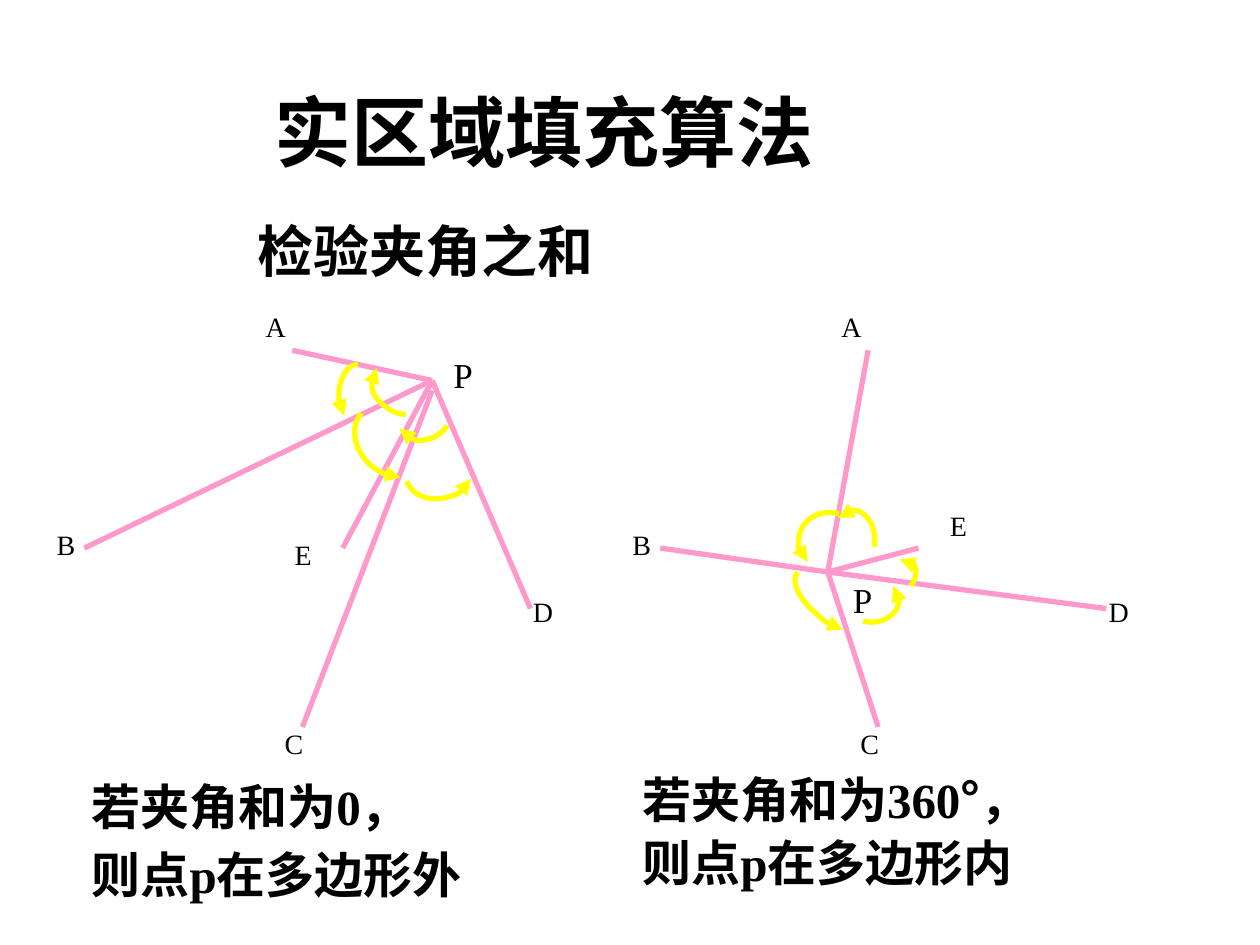
import dataclasses
import typing

import lxml.etree
import pptx
import pptx.dml.color
import pptx.enum.text
import pptx.oxml.ns
import pptx.util

Inches = pptx.util.Inches
Pt = pptx.util.Pt
qn = pptx.oxml.ns.qn
Spot = typing.Tuple[float, float]

INK = {"text": "000000", "ray": "FF99CC", "arc": "FFFF00"}
FACE = "Times New Roman"
SIGN = "Noto Sans CJK SC"
SHIFT = 4.57
ENDS = {"A": (2.32, 2.78), "E": (2.72, 4.35), "D": (4.21, 4.83),
        "B": (0.67, 4.35), "C": (2.4, 5.77)}
TAGS = {"A": (2.01, 2.41), "B": (0.35, 4.14), "C": (2.16, 5.72), "D": (4.13, 4.67)}


@dataclasses.dataclass
class Text:
    lines: typing.List[str]
    left: float
    top: float
    width: float
    height: float
    size: float
    bold: bool = True
    center: bool = False
    middle: bool = False
    hang: float = 0
    before: float = 0
    space: float = 1


@dataclasses.dataclass
class Fan:
    shift: float
    hub: Spot
    drop: float
    hub_tag: Spot
    e_tag: Spot
    arcs: typing.List[typing.List[Spot]]


FANS = [
    Fan(0, (3.43, 3.02), 0.08, (3.5, 2.76), (2.24, 4.22), [
        [(2.84, 2.89), (2.76, 2.89), (2.69, 3), (2.69, 3.13),
         (2.69, 3.19), (2.7, 3.25), (2.73, 3.3)],
        [(2.87, 3.28), (2.77, 3.39), (2.81, 3.58), (2.95, 3.7),
         (3.02, 3.75), (3.1, 3.79), (3.18, 3.79)],
        [(3.23, 3.82), (3.27, 3.94), (3.43, 3.99), (3.57, 3.94),
         (3.65, 3.92), (3.71, 3.86), (3.74, 3.8)],
        [(3.55, 3.38), (3.52, 3.42), (3.48, 3.46), (3.42, 3.48),
         (3.32, 3.51), (3.2, 3.48), (3.17, 3.4)],
        [(3.22, 3.29), (3.16, 3.29), (3.1, 3.26), (3.05, 3.22),
         (2.95, 3.14), (2.92, 3), (2.99, 2.92)],
    ]),
    Fan(SHIFT, (6.57, 4.54), 0, (6.67, 4.54), (7.44, 3.99), [
        [(6.66, 4.08), (6.64, 4.07), (6.62, 4.07), (6.59, 4.07), (6.46, 4.06),
         (6.34, 4.16), (6.34, 4.29), (6.33, 4.35), (6.36, 4.41), (6.41, 4.46)],
        [(6.33, 4.54), (6.27, 4.61), (6.34, 4.76), (6.49, 4.88),
         (6.55, 4.94), (6.63, 4.98), (6.69, 5)],
        [(6.85, 4.93), (6.98, 4.96), (7.1, 4.9), (7.13, 4.8),
         (7.14, 4.75), (7.13, 4.69), (7.09, 4.65)],
        [(7.23, 4.65), (7.27, 4.59), (7.28, 4.53), (7.26, 4.49),
         (7.24, 4.46), (7.2, 4.44), (7.14, 4.44)],
        [(6.94, 4.34), (6.96, 4.19), (6.89, 4.07), (6.79, 4.05),
         (6.74, 4.05), (6.69, 4.07), (6.65, 4.11)],
    ]),
]

TEXTS = [
    Text(["实区域填充算法"], 2.08, 0.25, 7.75, 1.58, 44, middle=True),
    Text(["若夹角和为0，", "则点p在多边形外"], 0.63, 6.11, 4.29, 1.1, 28,
         hang=0.38, before=5.6),
    Text(["若夹角和为360°，", "则点p在多边形内"], 5, 6.11, 4.88, 1.1, 28,
         hang=0.38, before=5.6, space=0.9),
    Text(["检验夹角之和"], 1.05, 1.67, 4.66, 0.63, 32, center=True),
]


def tint(name: str) -> pptx.dml.color.RGBColor:
    """Return a named colour."""
    return pptx.dml.color.RGBColor.from_string(INK[name])


def write(slide, text: Text) -> None:
    """Draw a text box."""
    box = slide.shapes.add_textbox(Inches(text.left), Inches(text.top),
                                   Inches(text.width), Inches(text.height))
    frame = box.text_frame
    frame.word_wrap = True
    if text.middle:
        frame.vertical_anchor = pptx.enum.text.MSO_ANCHOR.MIDDLE
    frame.text = "\n".join(text.lines)
    for para in frame.paragraphs:
        if text.center:
            para.alignment = pptx.enum.text.PP_ALIGN.CENTER
        para.space_before = Pt(text.before)
        para.line_spacing = text.space
        if text.hang:
            props = para._p.get_or_add_pPr()
            props.set("marL", str(Inches(text.hang)))
            props.set("indent", str(-Inches(text.hang)))
        head, mark, rest = para.text.partition("°")
        para.runs[0].text = head
        for part in filter(None, (mark, rest)):
            para.add_run().text = part
        for run in para.runs:
            run.font.name = SIGN if run.text == "°" else FACE
            run.font.size = Pt(text.size)
            run.font.bold = text.bold
            run.font.color.rgb = tint("text")


def draw_ray(slide, start: Spot, end: Spot) -> None:
    """Draw a straight ray."""
    ray = slide.shapes.add_connector(1, *map(Inches, start + end))
    ray.line.color.rgb = tint("ray")
    ray.line.width = Pt(3)
    lxml.etree.SubElement(ray._element.spPr, qn("a:effectLst"))


def draw_arc(slide, spots: typing.List[Spot]) -> None:
    """Draw a cubic curve that ends in an arrowhead."""
    first, *rest = [(Inches(x), Inches(y)) for x, y in spots]
    pen = slide.shapes.build_freeform(*first)
    pen.add_line_segments(rest, close=False)
    arc = pen.convert_to_shape()
    arc.shadow.inherit = False
    arc.fill.background()
    arc.line.color.rgb = tint("arc")
    arc.line.width = Pt(3)
    tip = lxml.etree.SubElement(arc.line._get_or_add_ln(), qn("a:tailEnd"))
    tip.set("type", "triangle")
    trace = next(arc._element.iter(qn("a:path")))
    steps = trace.findall(qn("a:lnTo"))
    for i in range(0, len(steps), 3):
        curve = lxml.etree.SubElement(trace, qn("a:cubicBezTo"))
        for step in steps[i:i + 3]:
            curve.append(step[0])
            trace.remove(step)


def draw_fan(slide, fan: Fan) -> None:
    """Draw the rays, arcs and labels around one point."""
    for name, (x, y) in ENDS.items():
        drop = fan.drop if name == "C" else 0
        draw_ray(slide, (fan.hub[0], fan.hub[1] + drop), (x + fan.shift, y))
    for spots in fan.arcs:
        draw_arc(slide, spots)
    tags = {name: (x + fan.shift, y) for name, (x, y) in TAGS.items()}
    tags["E"] = fan.e_tag
    for name, (x, y) in tags.items():
        write(slide, Text([name], x, y, 0.71, 0.37, 16, bold=False))
    write(slide, Text(["P"], *fan.hub_tag, 0.71, 0.43, 20, bold=False))


def main() -> None:
    """Build the slide."""
    deck = pptx.Presentation()
    deck.slide_width = Inches(10)
    deck.slide_height = Inches(7.5)
    slide = deck.slides.add_slide(deck.slide_layouts[6])
    for fan in FANS:
        draw_fan(slide, fan)
    for text in TEXTS:
        write(slide, text)
    deck.save("out.pptx")


if __name__ == "__main__":
    main()
